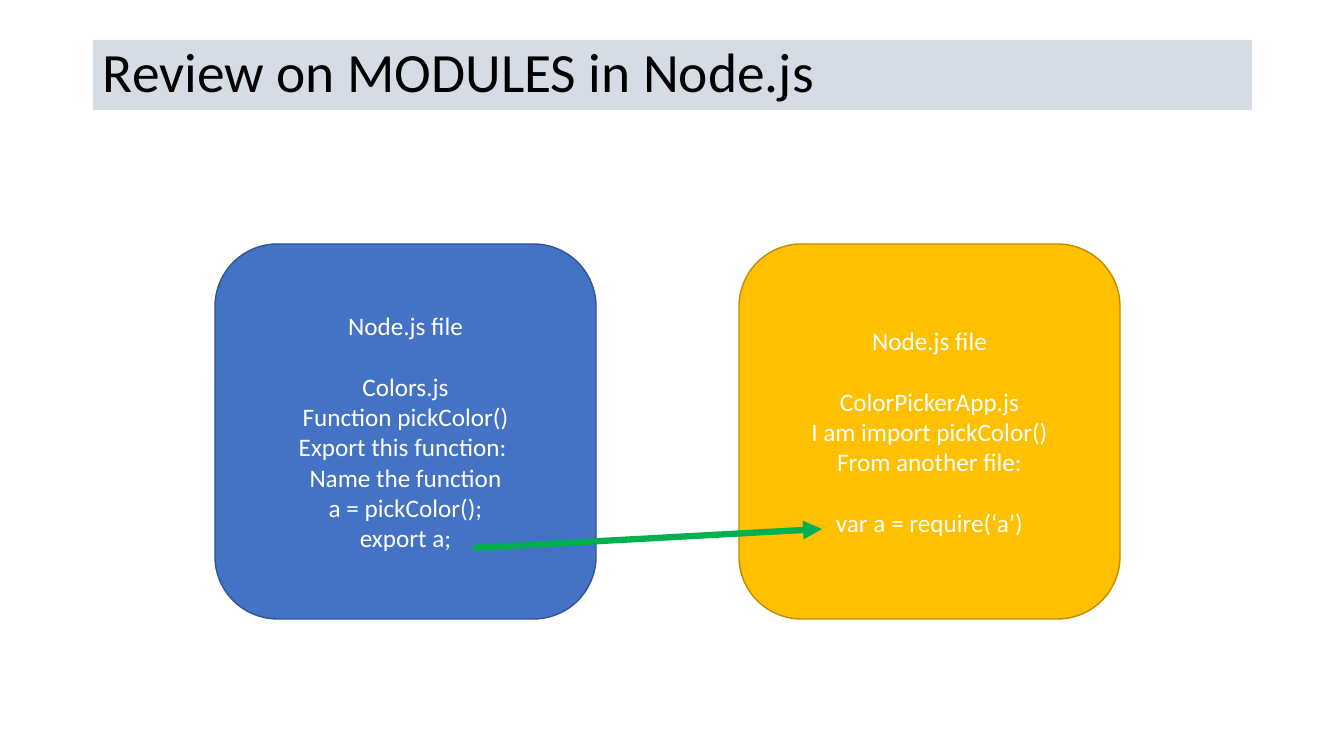
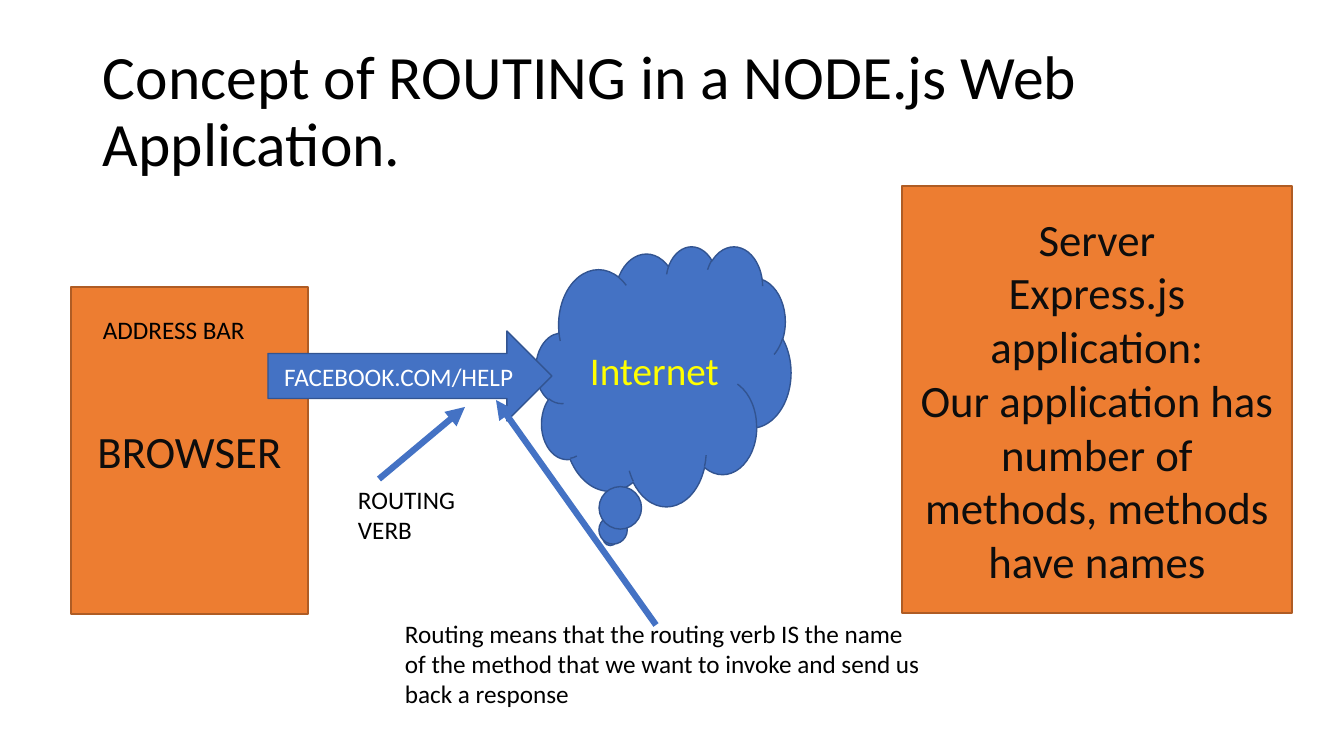
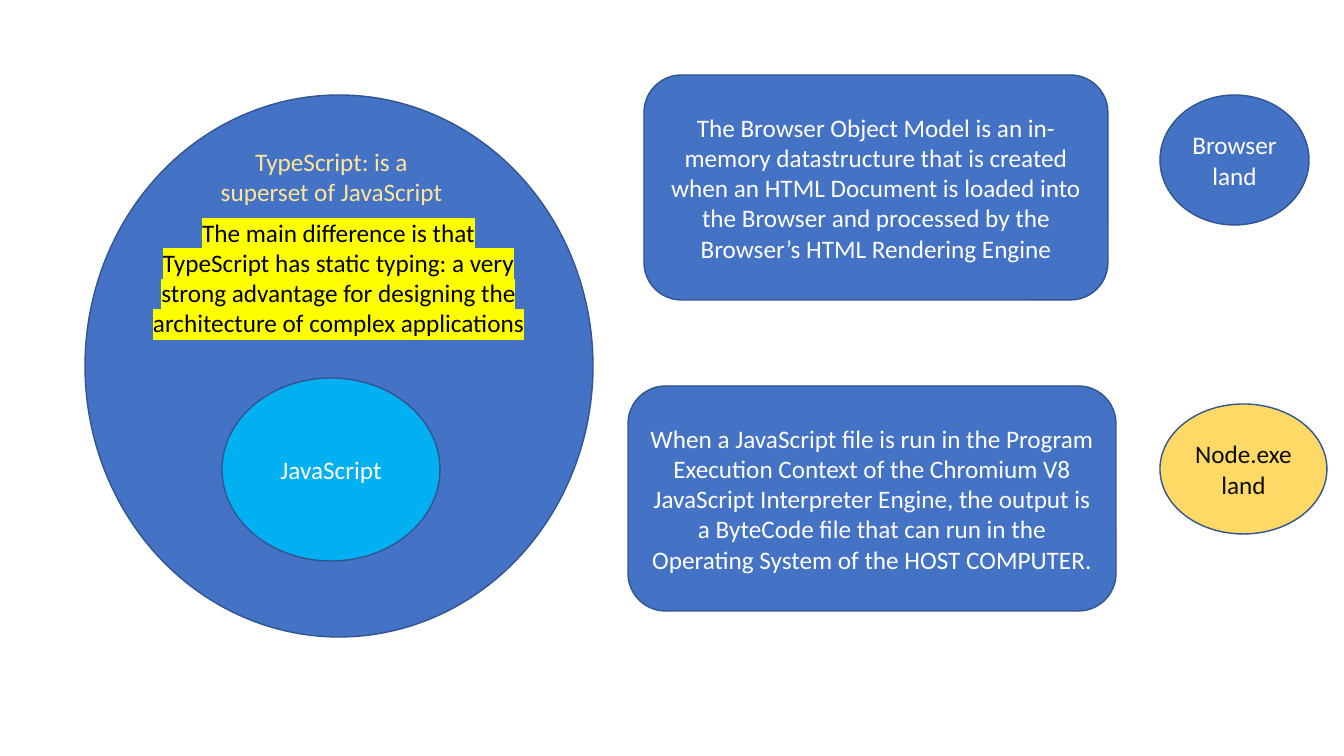
from lxml import etree
from pptx import Presentation
from pptx.dml.color import RGBColor
from pptx.enum.shapes import MSO_CONNECTOR, MSO_SHAPE
from pptx.enum.text import MSO_ANCHOR, PP_ALIGN
from pptx.oxml.ns import qn
from pptx.util import Emu, Pt

RECT, ROUND, OVAL = MSO_SHAPE.RECTANGLE, MSO_SHAPE.ROUNDED_RECTANGLE, MSO_SHAPE.OVAL
CLOUD, ARROW = MSO_SHAPE.CLOUD_CALLOUT, MSO_SHAPE.RIGHT_ARROW
STRAIGHT = MSO_CONNECTOR.STRAIGHT
MIDDLE, TOP = MSO_ANCHOR.MIDDLE, MSO_ANCHOR.TOP
LEFT, CENTER = PP_ALIGN.LEFT, PP_ALIGN.CENTER

WIDTH, HEIGHT = 1344, 756
SCALE = 12192000 / WIDTH
FONT = "Calibri"
BODY, LARGE = 18, 32
BLANK_LINE = 22
WHITE, BLACK, INK, YELLOW = "FFFFFF", "000000", "0D0D0D", "FFFF00"
BLUE, NAVY, GREEN, CREAM, BAND = "4472C4", "325491", "00B050", "FFE699", "D6DCE5"
BLUE_BOX = (BLUE, NAVY, WHITE)
CLOUD_BOX = (BLUE, NAVY, YELLOW)
GOLD_BOX = ("FFC000", "BD8E00", WHITE)
ORANGE_BOX = ("ED7D31", "AF5C24", INK)
CYAN_BOX = ("00B0F0", NAVY, WHITE)
SAND_BOX = ("FFD966", NAVY, INK)

MODULE_TOP, MODULE_W, MODULE_H = 244, 381, 375
MODULES = [
    (215, BLUE_BOX, [
        ["Node.js file"],
        ["Colors.js", "Function pickColor()", "Export this function: ",
         "Name the function", "a = pickColor();", "export a;"]]),
    (739, GOLD_BOX, [
        ["Node.js file"],
        ["ColorPickerApp.js", "I am import pickColor()", "From another file:"],
        ["var a = require(‘a’)"]]),
]

BROWSER = (RECT, ORANGE_BOX, (71, 287, 237, 327), "BROWSER", LARGE)
ROUTE_NOTES = [
    ((93, 309, 190, 40), "ADDRESS BAR"),
    ((348, 479, 148, 72), "ROUTING VERB"),
]
VERB_ARROW = (379, 479, 465, 407)
ROUTE_SHAPES = [
    (CLOUD, CLOUD_BOX, (536, 246, 255, 260), "Internet", 28),
    (ARROW, BLUE_BOX, (268, 331, 284, 90), "FACEBOOK.COM/HELP", BODY),
    (RECT, ORANGE_BOX, (902, 186, 390, 427),
     ["Server", "Express.js application:",
      "Our application has number of methods, methods have names"], LARGE),
]
MEANING = ((395, 613, 543, 102),
           "Routing means that the routing verb IS the name of the method that "
           "we want to invoke and send us back a response")
MEANING_ARROW = (656, 625, 496, 400)

LANGUAGES = [
    (OVAL, BLUE_BOX, (85, 95, 508, 542), ""),
    (OVAL, CYAN_BOX, (222, 378, 218, 183), "JavaScript"),
]
LANGUAGE_NOTES = [
    ((207, 141, 249, 72), "TypeScript: is a superset of JavaScript", CREAM, None),
    ((137, 212, 403, 132),
     "The main difference is that TypeScript has static typing: a very strong "
     "advantage for designing the architecture of complex applications",
     BLACK, YELLOW),
]
LANDS = [
    (ROUND, BLUE_BOX, (644, 75, 464, 225),
     "The Browser Object Model is an in-memory datastructure that is created "
     "when an HTML Document is loaded into the Browser and processed by the "
     "Browser’s HTML Rendering Engine"),
    (OVAL, BLUE_BOX, (1160, 95, 149, 130), "Browser land"),
    (ROUND, BLUE_BOX, (628, 386, 488, 225),
     "When a JavaScript file is run in the Program Execution Context of the "
     "Chromium V8 JavaScript Interpreter Engine, the output is a ByteCode file "
     "that can run in the Operating System of the HOST COMPUTER."),
    (OVAL, SAND_BOX, (1160, 404, 167, 130), "Node.exe land"),
]


def px(*values):
    return [Emu(round(v * SCALE)) for v in values]


def rgb(color):
    return RGBColor.from_string(color)


def write(tf, groups, size, color, align, anchor, highlight=None):
    tf.word_wrap = True
    tf.vertical_anchor = anchor
    if isinstance(groups, str):
        groups = [groups]
    if isinstance(groups[0], str):
        groups = [groups]
    lines = [(line, g > 0 and i == 0)
             for g, group in enumerate(groups) for i, line in enumerate(group)]
    for n, (line, spaced) in enumerate(lines):
        p = tf.add_paragraph() if n else tf.paragraphs[0]
        r = p.add_run()
        r.text = line
        p.alignment = align
        if spaced:
            p.space_before = Pt(BLANK_LINE)
        p.font.name = FONT
        p.font.size = Pt(size)
        p.font.color.rgb = rgb(color)
        if highlight:
            mark = etree.SubElement(r._r.get_or_add_rPr(), qn("a:highlight"))
            etree.SubElement(mark, qn("a:srgbClr"), val=highlight)


def add_box(s, kind, style, box, text, size=BODY):
    fill, line, color = style
    sp = s.shapes.add_shape(kind, *px(*box))
    sp.shadow.inherit = False
    sp.fill.solid()
    sp.fill.fore_color.rgb = rgb(fill)
    sp.line.color.rgb = rgb(line)
    sp.line.width = Pt(1)
    if text:
        write(sp.text_frame, text, size, color, CENTER, MIDDLE)


def add_note(s, box, text, color=BLACK, highlight=None, align=LEFT):
    sp = s.shapes.add_textbox(*px(*box))
    write(sp.text_frame, text, BODY, color, align, TOP, highlight)


def add_title(s, text, height, size, band=None):
    sp = s.shapes.add_textbox(*px(93, 40, 1159, height))
    if band:
        sp.fill.solid()
        sp.fill.fore_color.rgb = rgb(band)
    write(sp.text_frame, text, size, BLACK, LEFT, MIDDLE)
    sp.text_frame.paragraphs[0].line_spacing = 0.9


def add_arrow(s, ends, color):
    cx = s.shapes.add_connector(STRAIGHT, *px(*ends))
    cx.line.color.rgb = rgb(color)
    cx.line.width = Pt(4.5)
    etree.SubElement(cx.line._get_or_add_ln(), qn("a:tailEnd"), type="triangle")
    etree.SubElement(cx._element.spPr, qn("a:effectLst"))


def modules_slide(s):
    add_title(s, "Review on MODULES in Node.js", 70, 39.6, BAND)
    for left, style, text in MODULES:
        add_box(s, ROUND, style, (left, MODULE_TOP, MODULE_W, MODULE_H), text)
    add_arrow(s, (473, 548, 822, 529), GREEN)


def routing_slide(s):
    add_title(s, "Concept of ROUTING in a NODE.js Web Application.", 146, 44)
    add_box(s, *BROWSER)
    for note in ROUTE_NOTES:
        add_note(s, *note)
    add_arrow(s, VERB_ARROW, BLUE)
    for shape in ROUTE_SHAPES:
        add_box(s, *shape)
    add_note(s, *MEANING)
    add_arrow(s, MEANING_ARROW, BLUE)


def languages_slide(s):
    for shape in LANGUAGES:
        add_box(s, *shape)
    for note in LANGUAGE_NOTES:
        add_note(s, *note, align=CENTER)
    for shape in LANDS:
        add_box(s, *shape)


def main():
    prs = Presentation()
    prs.slide_width, prs.slide_height = px(WIDTH, HEIGHT)
    for build in (modules_slide, routing_slide, languages_slide):
        build(prs.slides.add_slide(prs.slide_layouts[6]))
    prs.save("out.pptx")


if __name__ == "__main__":
    main()
